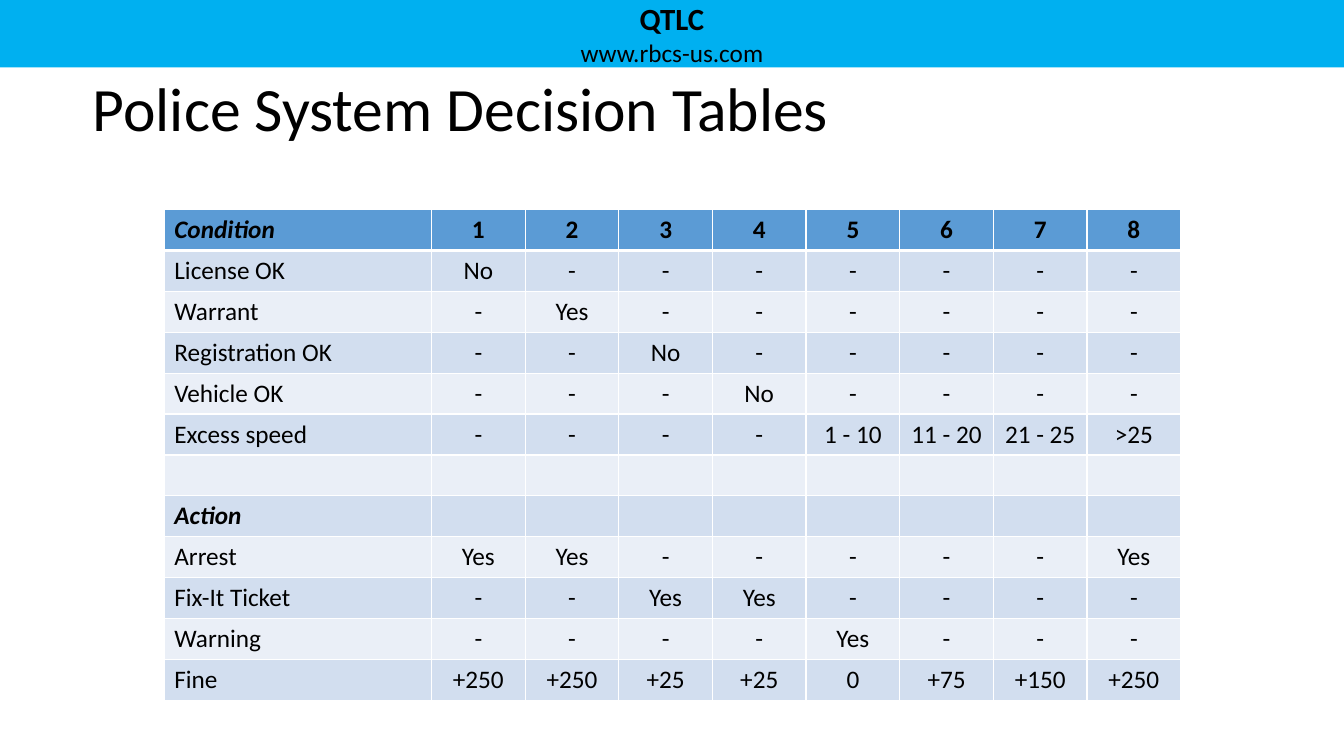
from lxml import etree
from pptx import Presentation
from pptx import util as u
from pptx.dml.color import RGBColor
from pptx.enum import shapes, text
from pptx.oxml import ns

BLACK, WHITE, SKY = "000000", "FFFFFF", "00B0F0"
HEAD, BANDS = "5B9BD5", ("EAEFF7", "D2DEEF")
LEFT, MID = text.PP_ALIGN.LEFT, text.PP_ALIGN.CENTER

RULES = [
    "Condition|1|2|3|4|5|6|7|8",
    "License OK|No|-|-|-|-|-|-|-",
    "Warrant|-|Yes|-|-|-|-|-|-",
    "Registration OK|-|-|No|-|-|-|-|-",
    "Vehicle OK|-|-|-|No|-|-|-|-",
    "Excess speed|-|-|-|-|1 - 10|11 - 20|21 - 25|>25",
    "||||||||",
    "Action||||||||",
    "Arrest|Yes|Yes|-|-|-|-|-|Yes",
    "Fix-It Ticket|-|-|Yes|Yes|-|-|-|-",
    "Warning|-|-|-|-|Yes|-|-|-",
    "Fine|+250|+250|+25|+25|0|+75|+150|+250",
]


def color(code):
    return RGBColor.from_string(code)


def write(para, words, size=18, bold=False, italic=False, align=LEFT, space=None):
    para.alignment = align
    para.line_spacing = space
    run = para.add_run()
    run.text = words
    font = run.font
    font.name, font.size = "Calibri", u.Pt(size)
    font.bold, font.italic = bold, italic
    font.color.rgb = color(BLACK)


def edge(cell, side, width):
    """Draw one white cell border; side is L, R, T or B."""
    line = etree.SubElement(cell._tc.get_or_add_tcPr(), ns.qn("a:ln" + side),
                            w=str(u.Pt(width)))
    fill = etree.SubElement(line, ns.qn("a:solidFill"))
    etree.SubElement(fill, ns.qn("a:srgbClr"), val=WHITE)


class Page:
    def __init__(self, deck):
        self.items = deck.slides.add_slide(deck.slide_layouts[6]).shapes

    def frame(self, shape, top, side):
        """Set wrapping and insets, and give back the text frame."""
        body = shape.text_frame
        body.word_wrap = True
        body.vertical_anchor = text.MSO_ANCHOR.MIDDLE
        body.margin_left = body.margin_right = u.Inches(side)
        body.margin_top, body.margin_bottom = u.Inches(top), 0
        return body

    def banner(self, box, name, site):
        bar = self.items.add_shape(shapes.MSO_SHAPE.RECTANGLE, *map(u.Inches, box))
        bar.shadow.inherit = False
        bar.fill.solid()
        bar.fill.fore_color.rgb = color(SKY)
        bar.line.fill.background()
        body = self.frame(bar, 0, 0.1)
        write(body.paragraphs[0], name, size=22, bold=True, align=MID)
        write(body.add_paragraph(), site, align=MID)

    def title(self, box, words):
        body = self.frame(self.items.add_textbox(*map(u.Inches, box)), 0.05, 0)
        write(body.paragraphs[0], words, size=44, space=0.9)

    def table(self, box, rows, first):
        """Fill a banded table; first is the width of the label column."""
        grid = [row.split("|") for row in rows]
        count = len(grid[0])
        table = self.items.add_table(len(grid), count, *map(u.Inches, box)).table
        table.horz_banding = False
        for col in table.columns:
            col.width = u.Inches((box[2] - first) / (count - 1))
        table.columns[0].width = u.Inches(first)
        for r, row in enumerate(grid):
            for c, words in enumerate(row):
                cell = table.cell(r, c)
                for side in "LRTB":
                    thick = (r, side) in ((0, "B"), (1, "T"))
                    edge(cell, side, 3 if thick else 1)
                cell.fill.solid()
                cell.fill.fore_color.rgb = color(BANDS[r % 2] if r else HEAD)
                if words:
                    group = words in ("Condition", "Action")
                    write(cell.text_frame.paragraphs[0], words, bold=group or r == 0,
                          italic=group, align=MID if c else LEFT)


def main():
    deck = Presentation()
    deck.slide_width, deck.slide_height = u.Inches(13.33), u.Inches(7.5)
    page = Page(deck)
    page.banner((0, 0, 13.33, 0.67), "QTLC", "www.rbcs-us.com")
    page.title((0.92, 0.58, 11.5, 1), "Police System Decision Tables")
    page.table((1.63, 2.08, 10.08, 4.87), RULES, 2.65)
    deck.save("out.pptx")


if __name__ == "__main__":
    main()
